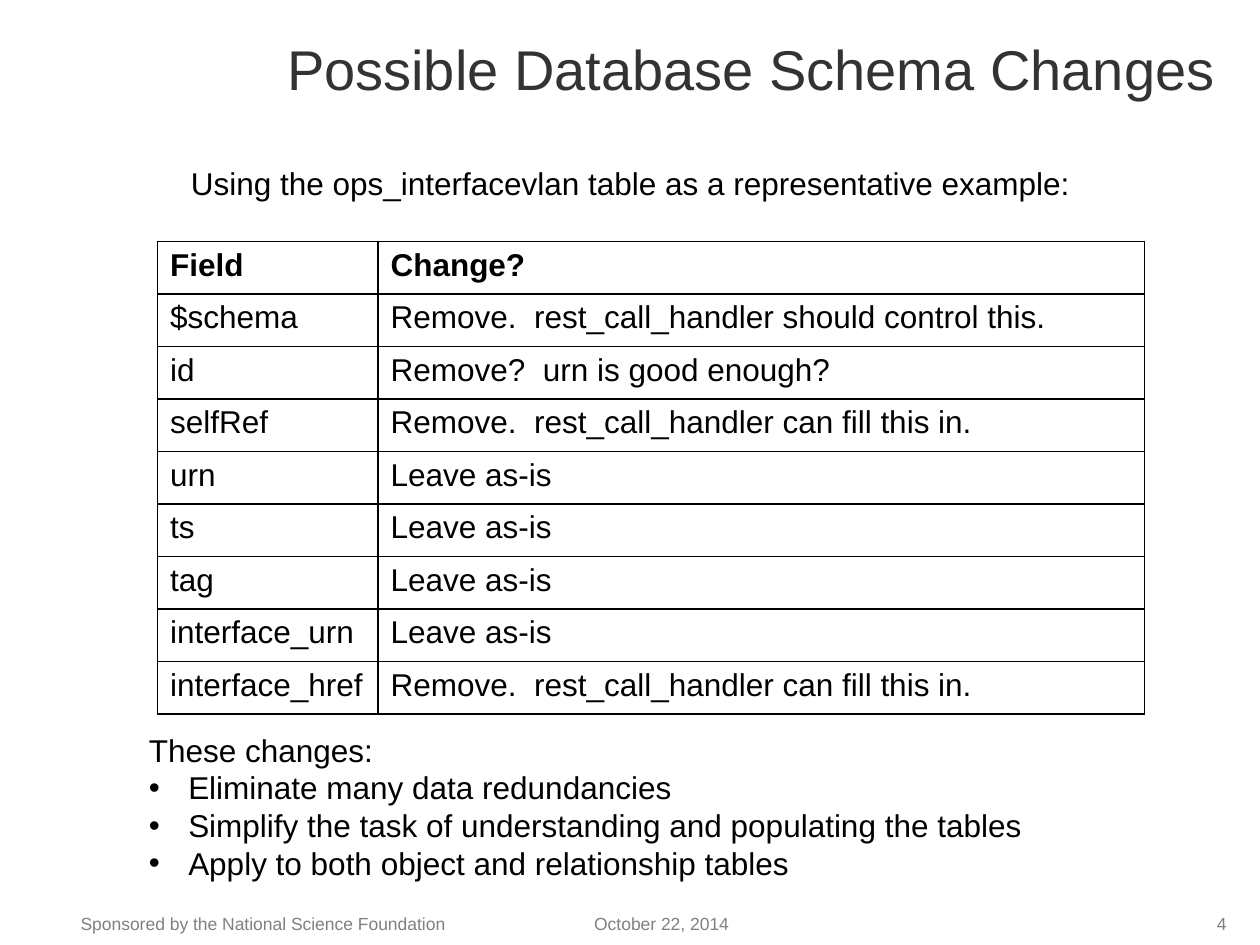
import pptx
import pptx.util
import pptx.dml.color
import pptx.enum.text
import pptx.oxml
import pptx.oxml.ns

Pt = pptx.util.Pt
Align = pptx.enum.text.PP_ALIGN
Anchor = pptx.enum.text.MSO_ANCHOR

# Content
TITLE = "Possible Database Schema Changes"
INTRO = "Using the ops_interfacevlan table as a representative example:"
ROWS = [
    ("Field", "Change?"),
    ("$schema", "Remove.  rest_call_handler should control this."),
    ("id", "Remove?  urn is good enough?"),
    ("selfRef", "Remove.  rest_call_handler can fill this in."),
    ("urn", "Leave as-is"),
    ("ts", "Leave as-is"),
    ("tag", "Leave as-is"),
    ("interface_urn", "Leave as-is"),
    ("interface_href", "Remove.  rest_call_handler can fill this in."),
]
LEAD = "These changes:"
POINTS = [
    "Eliminate many data redundancies",
    "Simplify the task of understanding and populating the tables",
    "Apply to both object and relationship tables",
]
# Footer: text, left, width, alignment
FOOT = [
    ("Sponsored by the National Science Foundation", 39, 261, Align.LEFT),
    ("October 22, 2014", 297, 162, Align.CENTER),
    ("4", 666, 42, Align.RIGHT),
]

THEME = {
    "font": "Arial",
    "title": {"size": 32, "color": "333333"},
    "body": {"size": 18, "color": "000000"},
    "foot": {"size": 10, "color": "808080"},
    "paper": "FFFFFF",
    "rule": "000000",
}
COLS, ROW = (126, 438), 30
INDENT = 22.5


def rgb(code):
    return pptx.dml.color.RGBColor.from_string(code)


def write(para, text, role, align=Align.LEFT, bold=False):
    para.alignment = align
    run = para.add_run()
    run.text = text
    style = THEME[role]
    looks = {"name": THEME["font"], "size": Pt(style["size"]), "bold": bold}
    for key, value in looks.items():
        setattr(run.font, key, value)
    run.font.color.rgb = rgb(style["color"])


def add_text(lines, box, role, align=Align.LEFT, wrap=True):
    frame = slide.shapes.add_textbox(*map(Pt, box)).text_frame
    frame.word_wrap = wrap
    for i, line in enumerate(lines):
        para = frame.add_paragraph() if i else frame.paragraphs[0]
        write(para, line, role, align)
    return frame


def add_bullet(para):
    props = para._p.get_or_add_pPr()
    props.set("marL", str(Pt(INDENT)))
    props.set("indent", str(-Pt(INDENT)))
    mark = pptx.oxml.ns.nsdecls("a")
    props.append(pptx.oxml.parse_xml(f'<a:buFont {mark} typeface="Arial"/>'))
    props.append(pptx.oxml.parse_xml(f'<a:buChar {mark} char="•"/>'))


def add_rules(cell):
    props = cell._tc.get_or_add_tcPr()
    mark = pptx.oxml.ns.nsdecls("a")
    for i, side in enumerate(("lnL", "lnR", "lnT", "lnB")):
        props.insert(i, pptx.oxml.parse_xml(
            f'<a:{side} {mark} w="{Pt(1)}"><a:solidFill>'
            f'<a:srgbClr val="{THEME["rule"]}"/></a:solidFill></a:{side}>'))


deck = pptx.Presentation()
deck.slide_width, deck.slide_height = Pt(720), Pt(540)
slide = deck.slides.add_slide(deck.slide_layouts[5])

# Footer
for text, left, width, align in FOOT:
    add_text([text], (left, 518.4, width, 19.4), "foot", align)

# Title
title = slide.shapes.title
place = {"left": 54, "top": 0, "width": 648, "height": 78}
for key, value in place.items():
    setattr(title, key, Pt(value))
title.text_frame.vertical_anchor = Anchor.MIDDLE
write(title.text_frame.paragraphs[0], TITLE, "title", Align.RIGHT)

# Field table
grid = slide.shapes.add_table(len(ROWS), len(COLS), Pt(90), Pt(138),
                              Pt(sum(COLS)), Pt(ROW * len(ROWS))).table
grid.first_row = grid.horz_banding = False
for col, width in zip(grid.columns, COLS):
    col.width = Pt(width)
for r, texts in enumerate(ROWS):
    grid.rows[r].height = Pt(ROW)
    for c, text in enumerate(texts):
        cell = grid.cell(r, c)
        cell.fill.solid()
        cell.fill.fore_color.rgb = rgb(THEME["paper"])
        add_rules(cell)
        write(cell.text_frame.paragraphs[0], text, "body", bold=r == 0)

# Text above and below the table
add_text([INTRO], (102, 90, 522, 29), "body", wrap=False)
notes = add_text([LEAD] + POINTS, (78, 414, 570, 94.5), "body")
for para in notes.paragraphs[1:]:
    add_bullet(para)

deck.save("out.pptx")
